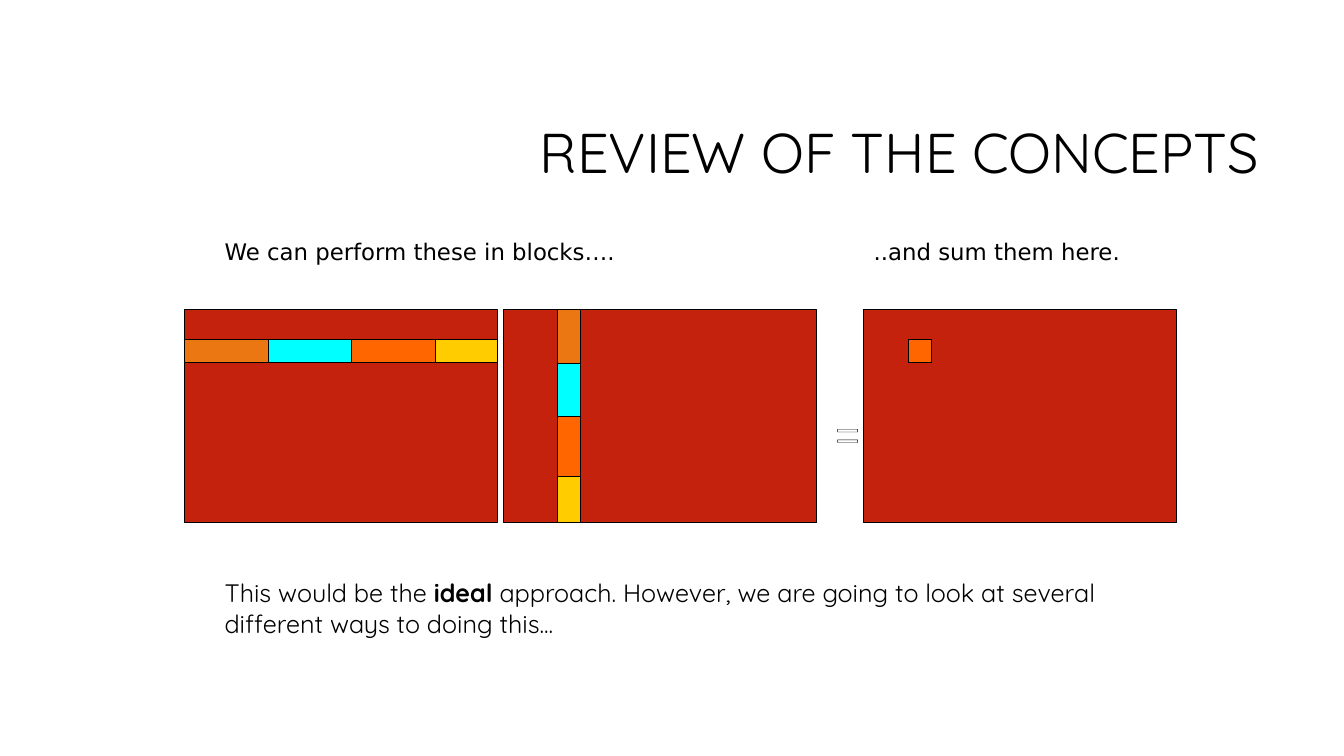
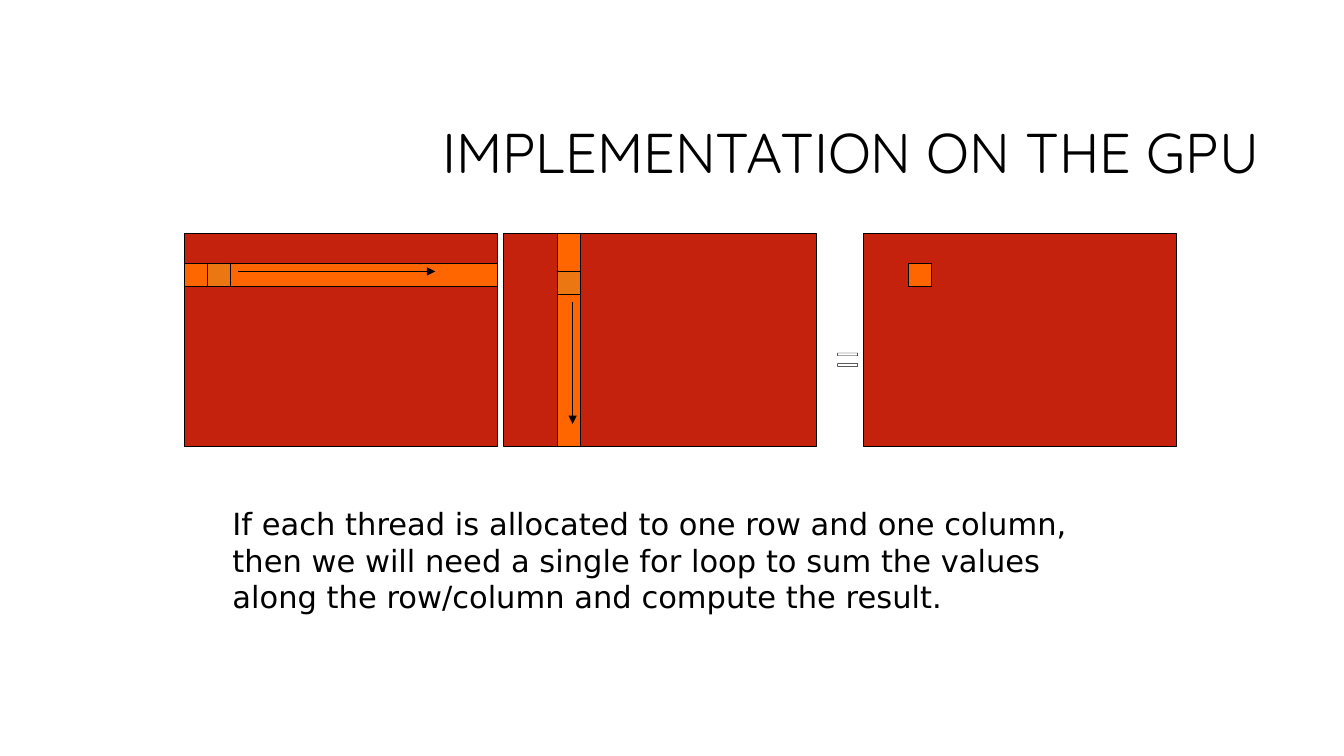
from lxml import etree
from pptx import Presentation
from pptx import util as u
from pptx.dml import color
from pptx.enum import shapes, text
from pptx.oxml import ns

BLACK, WHITE = "000000", "FFFFFF"
RED, ORANGE, AMBER, CYAN, YELLOW = "C4220D", "FF6600", "EB7712", "00FFFF", "FFCC00"
HEADING, BODY, SYMBOL = "Quicksand", "DejaVu Sans", "Montserrat"

FACTOR_A, FACTOR_B, RESULT = 4.65, 12.7, 21.77
WIDTH, HEIGHT = 7.88, 5.38
BAND = 0.58
ROW_OFFSET, COLUMN_OFFSET, RESULT_OFFSET = 0.76, 1.35, 1.12


def rgb(value):
    return color.RGBColor.from_string(value)


def add_child(parent, tag, **attributes):
    return etree.SubElement(parent, ns.qn(tag), attributes)


def add_text(page, content, left, top, width, height, *, font=BODY, size=18,
             fill=BLACK, align=text.PP_ALIGN.LEFT, anchor=text.MSO_ANCHOR.TOP,
             spacing=None, wrap=True, grow=False, bold=(), outline=None):
    box = page.shapes.add_textbox(u.Cm(left), u.Cm(top), u.Cm(width), u.Cm(height))
    frame = box.text_frame
    frame.word_wrap = wrap
    frame.vertical_anchor = anchor
    if grow:
        frame.auto_size = text.MSO_AUTO_SIZE.SHAPE_TO_FIT_TEXT
    para = frame.paragraphs[0]
    para.alignment = align
    para.line_spacing = spacing
    for part in [content] if isinstance(content, str) else content:
        span = para.add_run()
        span.text = part
        span.font.name = font
        span.font.size = u.Pt(size)
        span.font.bold = part in bold
        if outline:
            line = add_child(span.font._element, "a:ln", w=str(u.Pt(0.75)))
            solid = add_child(line, "a:solidFill")
            add_child(solid, "a:srgbClr", val=outline)
            span.font._element.insert(0, line)
        span.font.color.rgb = rgb(fill)
    return box


def add_block(page, left, top, width, height, fill):
    block = page.shapes.add_shape(shapes.MSO_SHAPE.RECTANGLE, u.Cm(left), u.Cm(top),
                                  u.Cm(width), u.Cm(height))
    block.shadow.inherit = False
    block.fill.solid()
    block.fill.fore_color.rgb = rgb(fill)
    block.line.color.rgb = rgb(BLACK)
    block.line.width = u.Pt(0.75)


def add_arrow(page, start_x, start_y, end_x, end_y):
    arrow = page.shapes.add_connector(shapes.MSO_CONNECTOR.STRAIGHT, u.Cm(start_x),
                                      u.Cm(start_y), u.Cm(end_x), u.Cm(end_y))
    arrow.line.color.rgb = rgb(BLACK)
    arrow.line.width = u.Pt(0.75)
    add_child(arrow.line._get_or_add_ln(), "a:tailEnd", type="triangle")
    add_child(arrow._element.spPr, "a:effectLst")


def add_row_part(page, top, start, length, fill):
    add_block(page, FACTOR_A + start, top + ROW_OFFSET, length, BAND, fill)


def add_column_part(page, top, start, length, fill):
    add_block(page, FACTOR_B + COLUMN_OFFSET, top + start, BAND, length, fill)


def add_product(page, top):
    for left in (FACTOR_A, FACTOR_B, RESULT):
        add_block(page, left, top, WIDTH, HEIGHT, RED)
    add_text(page, "=", 20.78, top + 2.31, 0.76, 1.07, font=SYMBOL, size=32.7,
             fill=WHITE, align=text.PP_ALIGN.CENTER, wrap=False, outline=BLACK)
    add_row_part(page, top, 0, WIDTH, ORANGE)
    add_column_part(page, top, 0, HEIGHT, ORANGE)
    add_block(page, RESULT + RESULT_OFFSET, top + ROW_OFFSET, BAND, BAND, ORANGE)


def add_page(deck, title):
    page = deck.slides.add_slide(deck.slide_layouts[6])
    add_text(page, title, 8.05, 2.13, 23.93, 3.58, font=HEADING, size=40,
             align=text.PP_ALIGN.RIGHT, anchor=text.MSO_ANCHOR.MIDDLE, spacing=0.9)
    return page


def add_concepts(deck):
    page = add_page(deck, "REVIEW OF THE CONCEPTS")
    top, row_step, column_step, last_start = 7.8, 2.11, 1.35, 4.22
    add_product(page, top)
    for index, fill in enumerate((AMBER, CYAN)):
        add_row_part(page, top, index * row_step, row_step, fill)
        add_column_part(page, top, index * column_step, column_step, fill)
    add_row_part(page, top, 3 * row_step, WIDTH - 3 * row_step, YELLOW)
    add_column_part(page, top, last_start, HEIGHT - last_start, YELLOW)
    add_text(page, "We can perform these in blocks….", 5.41, 5.87, 13.26, 0.97,
             size=16.3, grow=True)
    add_text(page, "..and sum them here.", RESULT, 5.87, WIDTH, 0.97,
             size=16.3, grow=True)
    add_text(page, ("This would be the ", "ideal", " approach. However, we are going to "
                    "look at several different ways to doing this..."),
             5.41, 14.43, 24.41, 1.8, font=HEADING, bold=("ideal",), grow=True)


def add_implementation(deck):
    page = add_page(deck, "IMPLEMENTATION ON THE GPU")
    top = 5.88
    add_product(page, top)
    add_row_part(page, top, BAND, BAND, AMBER)
    add_column_part(page, top, 0.97, BAND, AMBER)
    add_arrow(page, FACTOR_A + 1.34, top + 0.96, FACTOR_A + 6.32, top + 0.96)
    add_arrow(page, FACTOR_B + 1.73, top + 1.73, FACTOR_B + 1.73, top + 4.8)
    add_text(page, "If each thread is allocated to one row and one column, then we will "
             "need a single for loop to sum the values along the row/column and compute "
             "the result.", 5.61, 12.6, 22.66, 3.05, size=21.8, grow=True)


def main():
    deck = Presentation()
    deck.slide_width, deck.slide_height = u.Cm(33.87), u.Cm(19.05)
    add_concepts(deck)
    add_implementation(deck)
    deck.save("out.pptx")


main()
